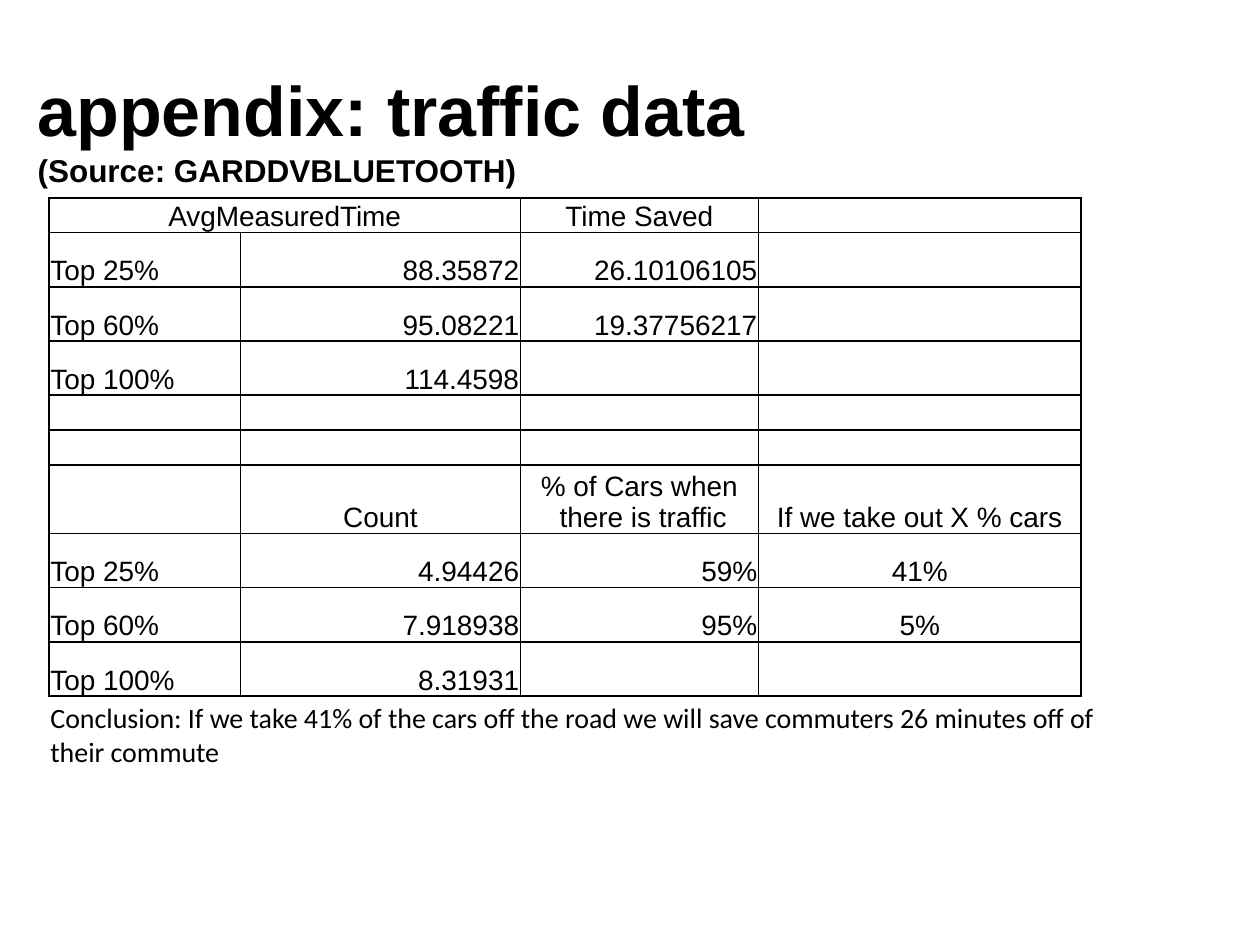
"""Build the traffic data appendix slide."""
from lxml import etree
from pptx import Presentation, util as u
from pptx.dml.color import RGBColor
from pptx.enum import text
from pptx.oxml.ns import qn

INK = "000000"
NO_STYLE = "{2D5ABB26-0587-4C30-8999-92F81FD0307C}"
ALIGN = {"l": text.PP_ALIGN.LEFT, "c": text.PP_ALIGN.CENTER, "r": text.PP_ALIGN.RIGHT}

TITLE = [("appendix: traffic data", 40), ("(Source: GARDDVBLUETOOTH)", 18)]
COLUMNS = [1.52, 2.22, 1.89, 2.56]
TRAFFIC = [
    (0.27, "cccc", ["AvgMeasuredTime", "", "Time Saved", ""]),
    (0.43, "lrrc", ["Top 25%", "88.35872", "26.10106105", ""]),
    (0.43, "lrrc", ["Top 60%", "95.08221", "19.37756217", ""]),
    (0.43, "lrrc", ["Top 100%", "114.4598", "", ""]),
    (0.27, "lrrc", ["", "", "", ""]),
    (0.27, "lrrc", ["", "", "", ""]),
    (0.54, "cccc", ["", "Count", "% of Cars when\n there is traffic", "If we take out X % cars"]),
    (0.43, "lrrc", ["Top 25%", "4.94426", "59%", "41%"]),
    (0.43, "lrrc", ["Top 60%", "7.918938", "95%", "5%"]),
    (0.43, "lrrc", ["Top 100%", "8.31931", "", ""]),
]
CONCLUSION = [(0.54, "l", [
    "Conclusion: If we take 41% of the cars off the road we will save "
    "commuters 26 minutes off of their commute"])]


def color(code):
    return RGBColor.from_string(code)


def add_span(para, words, size, font, bold=False):
    span = para.add_run()
    span.text = words
    span.font.size, span.font.name, span.font.bold = u.Pt(size), font, bold
    span.font.color.rgb = color(INK)


def add_borders(cell):
    props = cell._tc.get_or_add_tcPr()
    for index, side in enumerate(("lnL", "lnR", "lnT", "lnB")):
        line = etree.Element(qn(f"a:{side}"), w=str(u.Pt(1)))
        fill = etree.SubElement(line, qn("a:solidFill"))
        etree.SubElement(fill, qn("a:srgbClr"), val=INK)
        props.insert(index, line)


def fill_cell(cell, words, align, font):
    cell.fill.background()
    cell.margin_left = cell.margin_right = cell.margin_top = u.Inches(0.01)
    cell.margin_bottom = 0
    cell.vertical_anchor = text.MSO_ANCHOR.BOTTOM
    para = cell.text_frame.paragraphs[0]
    para.alignment = ALIGN[align]
    for number, line in enumerate(words.split("\n") if words else []):
        if number:
            para.add_line_break()
        add_span(para, line, 16, font)
    etree.SubElement(para._p, qn("a:endParaRPr"), sz="1600")


def add_grid(page, left, top, widths, rows, font, bordered):
    height = sum(row[0] for row in rows)
    frame = page.shapes.add_table(len(rows), len(widths), u.Inches(left), u.Inches(top),
                                  u.Inches(sum(widths)), u.Inches(height))
    table = frame.table
    table.first_row = table.horz_banding = False
    table._tbl.tblPr.find(qn("a:tableStyleId")).text = NO_STYLE
    for column, width in zip(table.columns, widths):
        column.width = u.Inches(width)
    for row, (height, aligns, values) in zip(table.rows, rows):
        row.height = u.Inches(height)
        for cell, words, align in zip(row.cells, values, aligns):
            fill_cell(cell, words, align, font)
            if bordered:
                add_borders(cell)
    return table


def add_title(page):
    box = page.shapes.add_textbox(u.Inches(0.2), u.Inches(0.46), u.Inches(8.58), u.Inches(1.11))
    frame = box.text_frame
    frame.word_wrap = True
    frame.vertical_anchor = text.MSO_ANCHOR.MIDDLE
    for number, (words, size) in enumerate(TITLE):
        para = frame.add_paragraph() if number else frame.paragraphs[0]
        add_span(para, words, size, "Arial", True)


def main():
    deck = Presentation()
    deck.slide_width, deck.slide_height = u.Inches(10), u.Inches(7.5)
    page = deck.slides.add_slide(deck.slide_layouts[6])
    add_title(page)
    traffic = add_grid(page, 0.39, 1.57, COLUMNS, TRAFFIC, "Arial", True)
    traffic.cell(0, 0).merge(traffic.cell(0, 1))
    add_grid(page, 0.39, 5.56, [8.66], CONCLUSION, "Calibri", False)
    deck.save("out.pptx")


if __name__ == "__main__":
    main()
